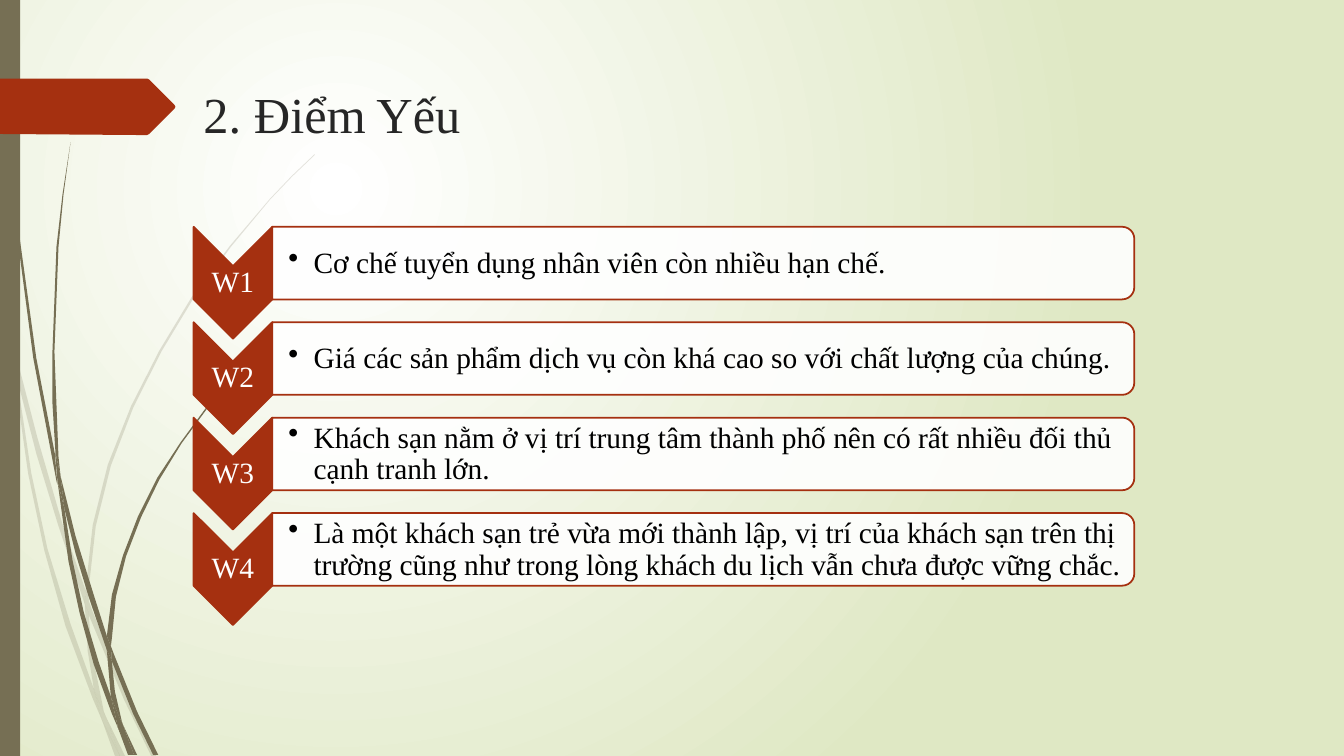
from lxml.etree import SubElement as add_xml
from pptx import Presentation
from pptx.dml.color import RGBColor as Rgb
from pptx.enum.shapes import MSO_SHAPE as Shape
from pptx.enum.text import MSO_ANCHOR as Anchor, PP_ALIGN as Align
from pptx.oxml.ns import qn
from pptx.util import Emu, Pt

EMU_PER_PX = 9144  # 100 px to the inch
FONT = "Times New Roman"
COLORS = {"olive": "766F54", "rust": "A53010", "white": "FFFFFF",
          "black": "000000", "title": "262626", "green": "DFE8C4"}

# Each leaf is an outline in px
PALE_LEAVES = [
    [(11, 350), (9, 322), (0, 282), (0, 299), (10, 344)],
    [(58, 522), (84, 599), (85, 586), (62, 520), (37, 434), (14, 345), (17, 376), (36, 450)],
    [(92, 607), (88, 596), (88, 610), (123, 694), (150, 750), (155, 750), (127, 692)],
    [(119, 750), (124, 750), (105, 711)],
    [(93, 683), (70, 619), (47, 544), (31, 469), (17, 376), (11, 350), (28, 470), (44, 546),
     (65, 621), (92, 693), (101, 714), (99, 707)],
    [(84, 599), (87, 646), (93, 683), (96, 692), (105, 711), (103, 706), (91, 646), (88, 610),
     (88, 608)],
    [(88, 584), (95, 522), (110, 462), (132, 405), (160, 349), (192, 296), (229, 245),
     (268, 198), (290, 175), (312, 154), (312, 153), (289, 175), (268, 197), (228, 244),
     (190, 295), (158, 348), (130, 403), (107, 461), (92, 521), (85, 584), (85, 586), (88, 596)],
    [(101, 714), (114, 750), (119, 750)],
    [(88, 608), (88, 610), (88, 596), (85, 586), (84, 599)],
    [(96, 692), (93, 683), (99, 707), (101, 714), (119, 750), (105, 711)],
]
DARK_LEAVES = [
    [(7, 110), (17, 233), (33, 355), (56, 477), (57, 481), (55, 457), (55, 453), (36, 355),
     (19, 232), (8, 109), (5, 48), (4, 0), (3, 0), (4, 48)],
    [(88, 592), (106, 645), (106, 633), (106, 631), (93, 590), (75, 532), (60, 472), (64, 505),
     (75, 549)],
    [(113, 649), (110, 641), (111, 656), (132, 708), (152, 749), (157, 749), (136, 706)],
    [(110, 691), (98, 657), (83, 607), (72, 556), (64, 505), (57, 477), (68, 557), (79, 608),
     (93, 659), (111, 708), (117, 722), (116, 717)],
    [(60, 472), (58, 453), (54, 349), (58, 245), (63, 193), (70, 141), (62, 193), (56, 245),
     (52, 349), (52, 400), (55, 449)],
    [(133, 749), (136, 749), (122, 719)],
    [(57, 477), (64, 505), (60, 472), (55, 449), (55, 453)],
    [(111, 633), (115, 592), (125, 552), (140, 513), (158, 476), (180, 440), (205, 406),
     (231, 374), (245, 359), (261, 344), (260, 344), (245, 358), (231, 373), (204, 405),
     (179, 439), (156, 474), (137, 512), (122, 551), (111, 590), (106, 631), (110, 641)],
    [(117, 722), (127, 749), (131, 749)],
    [(106, 645), (110, 691), (116, 706), (122, 719), (121, 716), (114, 686), (111, 656),
     (109, 651)],
    [(106, 631), (106, 645), (109, 651), (111, 656), (110, 641)],
    [(116, 706), (110, 691), (116, 717), (117, 722), (130, 749), (133, 749), (122, 719)],
]
TITLE_TAB = [(0, 78), (146, 78), (148, 79), (173, 104), (174, 106), (173, 108), (148, 133),
             (146, 134), (136, 134), (0, 133)]
WEAKNESSES = [
    "Cơ chế tuyển dụng nhân viên còn nhiều hạn chế.",
    "Giá các sản phẩm dịch vụ còn khá cao so với chất lượng của chúng.",
    "Khách sạn nằm ở vị trí trung tâm thành phố nên có rất nhiều đối thủ cạnh tranh lớn.",
    "Là một khách sạn trẻ vừa mới thành lập, vị trí của khách sạn trên thị trường "
    "cũng như trong lòng khách du lịch vẫn chưa được vững chắc.",
]


def px(length):
    return Emu(round(length * EMU_PER_PX))


def color(name):
    return Rgb.from_string(COLORS[name])


def set_formats(target, **formats):
    for name, value in formats.items():
        setattr(target, name, value)


def paint(shape, fill, line=None, opacity=100):
    shape.shadow.inherit = False
    shape.fill.solid()
    shape.fill.fore_color.rgb = color(fill)
    if opacity < 100:
        tint = shape._element.spPr.find(qn("a:solidFill"))[0]
        add_xml(tint, qn("a:alpha"), val=str(opacity * 1000))
    if line:
        shape.line.color.rgb = color(line)
        shape.line.width = Pt(1.25)
    else:
        shape.line.fill.background()


def add_outline(slide, points, fill, opacity=100):
    builder = slide.shapes.build_freeform(*points[0], scale=EMU_PER_PX)
    builder.add_line_segments(points[1:], close=True)
    paint(builder.convert_to_shape(), fill, opacity=opacity)


def add_turned_shape(slide, kind, box):
    """Place a preset shape turned by 90 degrees so that it fills the box."""
    left, top, width, height = box
    shift = (width - height) / 2
    shape = slide.shapes.add_shape(kind, px(left + shift), px(top - shift),
                                   px(height), px(width))
    shape.rotation = 90
    return shape


def add_text(slide, box, text, size, ink, insets=(1, 1, 1, 1), align=Align.LEFT, spacing=1.0):
    frame = slide.shapes.add_textbox(*map(px, box)).text_frame
    left, top, right, bottom = map(px, insets)
    set_formats(frame, word_wrap=True, vertical_anchor=Anchor.MIDDLE, margin_left=left,
                margin_top=top, margin_right=right, margin_bottom=bottom)
    paragraph = frame.paragraphs[0]
    set_formats(paragraph, text=text, alignment=align, line_spacing=spacing)
    font = paragraph.runs[0].font
    set_formats(font, name=FONT, size=Pt(size))
    font.color.rgb = color(ink)
    return paragraph


def add_bullet(paragraph, indent):
    properties = paragraph._p.get_or_add_pPr()
    properties.set("marL", str(px(indent)))
    properties.set("indent", str(px(-indent)))
    add_xml(properties, qn("a:buChar"), char="•")


def draw_background(slide):
    fill = slide.background.fill
    fill.gradient()
    for stop, name in zip(fill.gradient_stops, ("white", "green")):
        stop.color.rgb = color(name)
    gradient = slide._element.find(".//" + qn("a:gradFill"))
    gradient.remove(gradient.find(qn("a:lin")))
    circle = add_xml(gradient, qn("a:path"), path="circle")
    add_xml(circle, qn("a:fillToRect"), l="50000", t="50000", r="100000", b="100000")


def draw_decoration(slide, box):
    for leaves, opacity in ((PALE_LEAVES, 20), (DARK_LEAVES, 100)):
        for leaf in leaves:
            add_outline(slide, leaf, "olive", opacity)
    paint(slide.shapes.add_shape(Shape.RECTANGLE, *map(px, box)), "olive")
    add_outline(slide, TITLE_TAB, "rust")


def draw_row(slide, box, label, text):
    left, top, width, height = box
    arrow_width, card_height = 78, 72
    card_left, card_width = left + arrow_width, width - arrow_width

    # Chevron and its label
    arrow = add_turned_shape(slide, Shape.CHEVRON, (left, top, arrow_width, height))
    paint(arrow, "rust", "rust")
    add_text(slide, (left, top + 39, arrow_width, 33), label, 21, "white",
             align=Align.CENTER, spacing=0.9)

    # Card and its bullet
    card = add_turned_shape(slide, Shape.ROUND_2_SAME_RECTANGLE,
                            (card_left, top, card_width, card_height))
    paint(card, "white", "rust", opacity=90)
    paragraph = add_text(slide, (card_left, top + 4, card_width - 3, 65), text, 21, "black",
                         insets=(16, 1, 1, 1), spacing=0.9)
    add_bullet(paragraph, 25)


def draw_weakness_list(slide, box):
    left, top, width, height = box
    row_height = 111
    pitch = (height - row_height) / (len(WEAKNESSES) - 1)
    for index, text in enumerate(WEAKNESSES):
        draw_row(slide, (left, top + index * pitch, width, row_height), f"W{index + 1}", text)


def main():
    presentation = Presentation()
    set_formats(presentation, slide_width=px(1333), slide_height=px(750))
    slide = presentation.slides.add_slide(presentation.slide_layouts[6])
    draw_background(slide)
    draw_decoration(slide, (0, 0, 20, 750))
    add_text(slide, (192, 72, 933, 80), "2. Điểm Yếu", 36, "title", insets=(10, 5, 10, 5))
    draw_weakness_list(slide, (192, 225, 933, 395))
    presentation.save("out.pptx")


if __name__ == "__main__":
    main()
